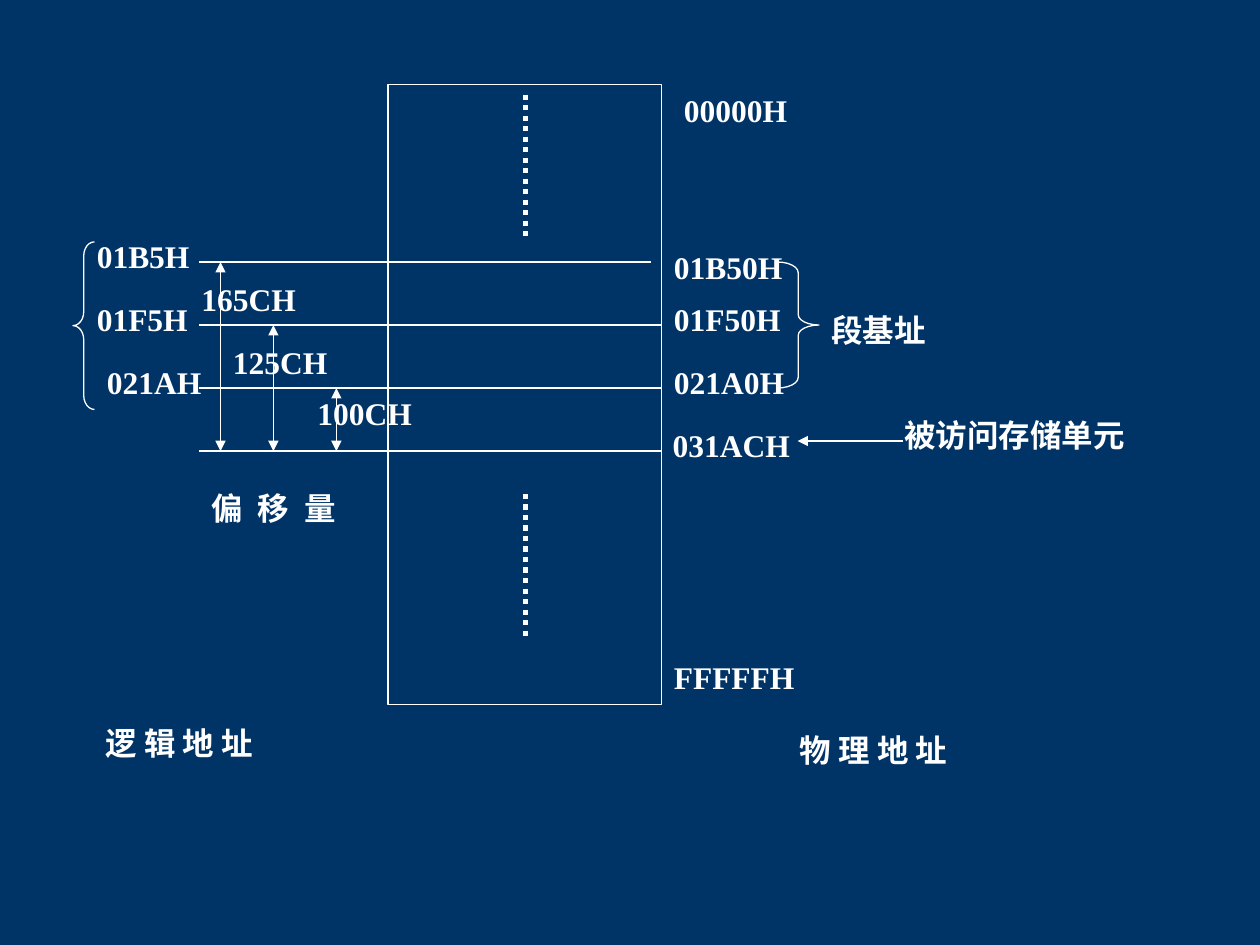
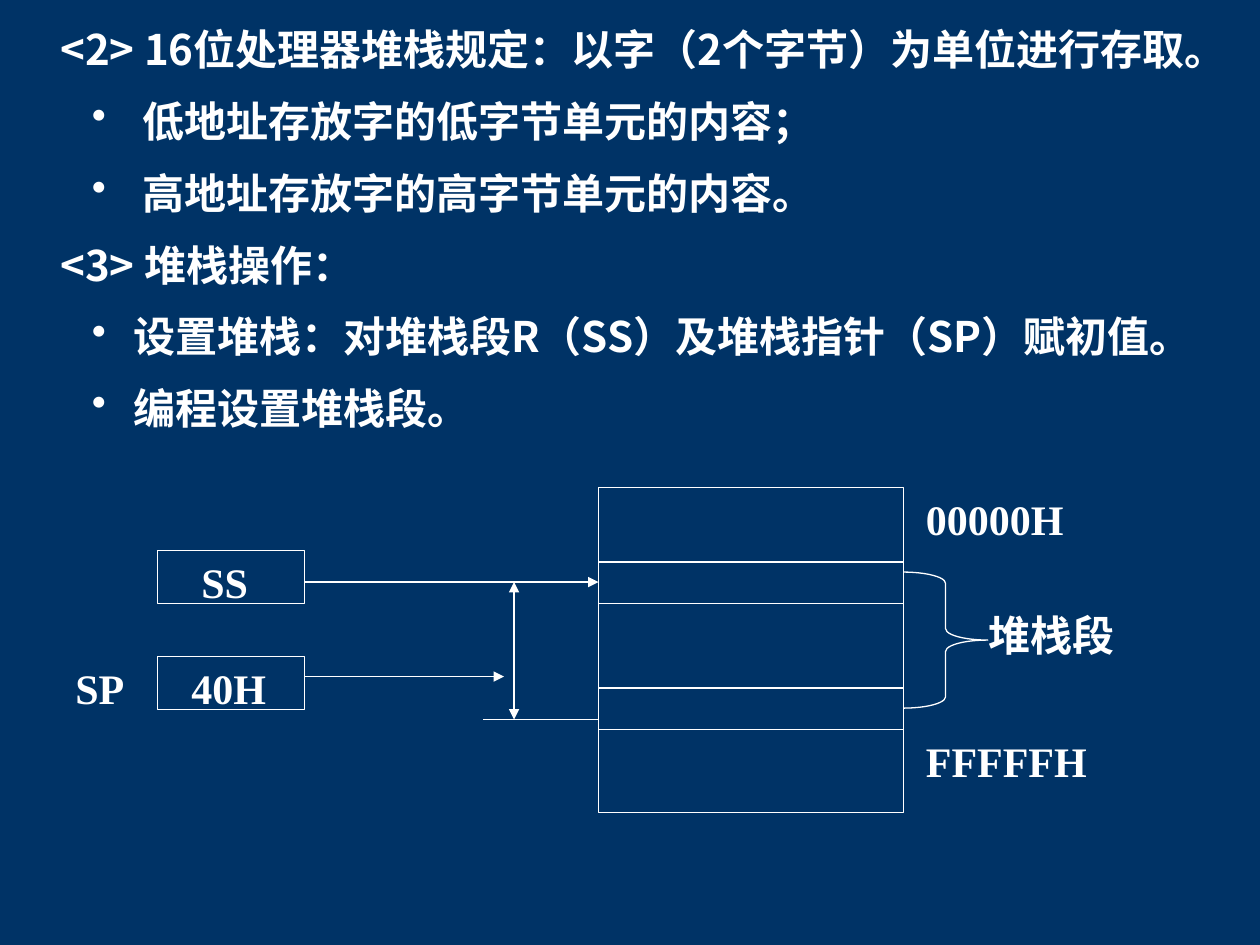
from lxml.etree import SubElement
from pptx import Presentation
from pptx.dml.color import RGBColor
from pptx.enum.dml import MSO_LINE as Dash
from pptx.enum.shapes import MSO_CONNECTOR as Link, MSO_SHAPE as Shape
from pptx.enum.text import MSO_AUTO_SIZE as Fit
from pptx.oxml.ns import qn
from pptx.util import Inches, Pt

NAVY, WHITE = "003366", "FFFFFF"
SERIF, SANS = "Times New Roman", "Noto Sans CJK JP"


def color(fmt, code):
    """Give a fill or font colour format a hex colour."""
    fmt.rgb = RGBColor.from_string(code)


def add_page(deck):
    """Add a blank slide with the navy background."""
    page = deck.slides.add_slide(deck.slide_layouts[6])
    fill = page.background.fill
    fill.solid()
    color(fill.fore_color, NAVY)
    return page


def style(para, size, font):
    """Format each run of a paragraph in bold white."""
    for run in para.runs:
        run.font.size = Pt(size)
        run.font.bold = True
        run.font.name = font
        color(run.font.color, WHITE)
        SubElement(run.font._element, qn("a:ea"), typeface=SANS)


def add_text(page, left, top, wide, high, wrap=True):
    """Add a text box that grows with its text and return its frame."""
    box = page.shapes.add_textbox(
        Inches(left), Inches(top), Inches(wide), Inches(high))
    frame = box.text_frame
    frame.word_wrap = wrap
    frame.auto_size = Fit.SHAPE_TO_FIT_TEXT
    return frame


def add_label(page, text, left, top, wide, size=18, wrap=True):
    """Add a one-line label and return its run."""
    frame = add_text(page, left, top, wide, 0.4 if size == 18 else 0.5, wrap)
    frame.text = text
    style(frame.paragraphs[0], size, SERIF)
    return frame.paragraphs[0].runs[0]


def add_frame(page, kind, left, top, wide, high):
    """Add an unfilled shape with a thin white outline."""
    shape = page.shapes.add_shape(
        kind, Inches(left), Inches(top), Inches(wide), Inches(high))
    shape.shadow.inherit = False
    shape.fill.background()
    color(shape.line.color, WHITE)
    shape.line.width = Pt(0.75)
    return shape


def add_brace(page, kind, left, top, wide, high):
    """Add a brace whose corners are a twelfth of its height."""
    brace = add_frame(page, kind, left, top, wide, high)
    brace.adjustments[0] = high / 12 / wide


def add_line(page, x1, y1, x2, y2, ends=(), dots=False):
    """Add a white line, with arrowheads at the named ends."""
    link = page.shapes.add_connector(
        Link.STRAIGHT, Inches(x1), Inches(y1), Inches(x2), Inches(y2))
    color(link.line.color, WHITE)
    link.line.width = Pt(3 if dots else 0.75)
    if dots:
        link.line.dash_style = Dash.ROUND_DOT
    for end in ends:
        SubElement(link.line._get_or_add_ln(), qn(f"a:{end}End"), type="triangle")
    SubElement(link._element.spPr, qn("a:effectLst"))


def add_list(page, items):
    """Add headings and bullets; each item is a text and its bullet margin."""
    frame = add_text(page, -0.12, 0.18, 10.35, 3.3)
    for i, (text, margin) in enumerate(items):
        para = frame.add_paragraph() if i else frame.paragraphs[0]
        para.text = text
        para.line_spacing = Pt(26)
        if i:
            para.space_before = Pt(15)
        props = para._p.get_or_add_pPr()
        props.set("marL", str(Inches(margin or 0.5)))
        if margin:
            props.set("indent", str(Inches(0.75 - margin)))
            SubElement(props, qn("a:buChar"), char="•")
        style(para, 24, SANS)


def add_map(page):
    """Draw the segment bases and offsets of one memory cell."""
    add_frame(page, Shape.RECTANGLE, 3.08, 0.67, 2.17, 4.92)
    rows = [2.08, 2.58, 3.08, 3.58]
    for row, end in zip(rows, (5.17, 5.25, 5.25, 5.25)):
        add_line(page, 1.58, row, end, row)
    for top in (0.75, 3.92):
        add_line(page, 4.17, top, 4.17, top + 1.16, dots=True)
    for x, row in zip((1.75, 2.17, 2.67), rows):
        add_line(page, x, row, x, rows[-1], ("head", "tail"))
    add_brace(page, Shape.RIGHT_BRACE, 6.17, 2.08, 0.33, 1)
    add_brace(page, Shape.LEFT_BRACE, 0.58, 1.92, 0.17, 1.33)
    add_line(page, 7.17, 3.5, 6.33, 3.5, ("tail",))
    labels = [
        ("00000H", 5.33, 0.67, 1.08),
        ("01B50H", 5.25, 1.92, 1.08),
        ("01F50H", 5.25, 2.33, 1.08),
        ("021A0H", 5.25, 2.83, 1.17),
        ("031ACH", 5.24, 3.33, 1.17),
        ("FFFFFH", 5.25, 5.17, 1.17),
        ("段基址", 6.5, 2.42, 1.08),
        ("被访问存储单元", 7.08, 3.25, 2),
        ("165CH", 1.5, 2.17, 1.08),
        ("125CH", 1.75, 2.67, 1.08),
        ("100CH", 2.42, 3.08, 1.08),
        ("01B5H", 0.67, 1.83, 1),
        ("01F5H", 0.67, 2.33, 1),
        ("021AH", 0.75, 2.83, 1),
        ("逻 辑 地 址", 0.74, 5.7, 1.58),
        ("物 理 地 址", 6.25, 5.75, 1.5),
    ]
    for label in labels:
        add_label(page, *label)
    shift = add_label(page, "偏 移 量", 1.58, 3.83, 1.33)
    shift.font._element.set("spc", "225")


def add_stack(page):
    """Draw the stack segment with its base and pointer."""
    add_frame(page, Shape.RECTANGLE, 4.75, 3.87, 2.42, 2.58)
    for row in (4.46, 4.79, 5.46, 5.79):
        add_line(page, 4.75, row, 7.17, row)
    for top in (4.37, 5.21):
        add_frame(page, Shape.RECTANGLE, 1.25, top, 1.17, 0.42)
    add_line(page, 4.75, 5.71, 3.83, 5.71)
    add_line(page, 2.42, 4.62, 4.75, 4.62, ("tail",))
    add_line(page, 4.08, 4.62, 4.08, 5.71, ("head", "tail"))
    add_line(page, 2.42, 5.37, 4, 5.37, ("tail",))
    add_brace(page, Shape.RIGHT_BRACE, 7.17, 4.54, 0.67, 1.08)
    labels = [
        ("00000H", 7.25, 3.87, 1.29),
        ("FFFFFH", 7.25, 5.79, 1.55),
        ("堆栈段", 7.75, 4.79, 1.2),
        ("SS", 1.5, 4.37, 0.57),
        ("40H", 1.42, 5.21, 0.83),
        ("SP", 0.5, 5.21, 0.72),
    ]
    for label in labels:
        add_label(page, *label, size=24,
                  wrap=label[0] in ("FFFFFH", "40H", "SP"))


def main():
    """Build both slides and save the deck."""
    deck = Presentation()
    deck.slide_width, deck.slide_height = Inches(10), Inches(7.5)
    add_map(add_page(deck))
    page = add_page(deck)
    add_list(page, [
        ("<2> 16位处理器堆栈规定：以字（2个字节）为单位进行存取。", None),
        ("低地址存放字的低字节单元的内容；", 1.15),
        ("高地址存放字的高字节单元的内容。", 1.15),
        ("<3> 堆栈操作：", None),
        ("设置堆栈：对堆栈段R（SS）及堆栈指针（SP）赋初值。", 1.08),
        ("编程设置堆栈段。", 1.08),
    ])
    add_stack(page)
    deck.save("out.pptx")


if __name__ == "__main__":
    main()
